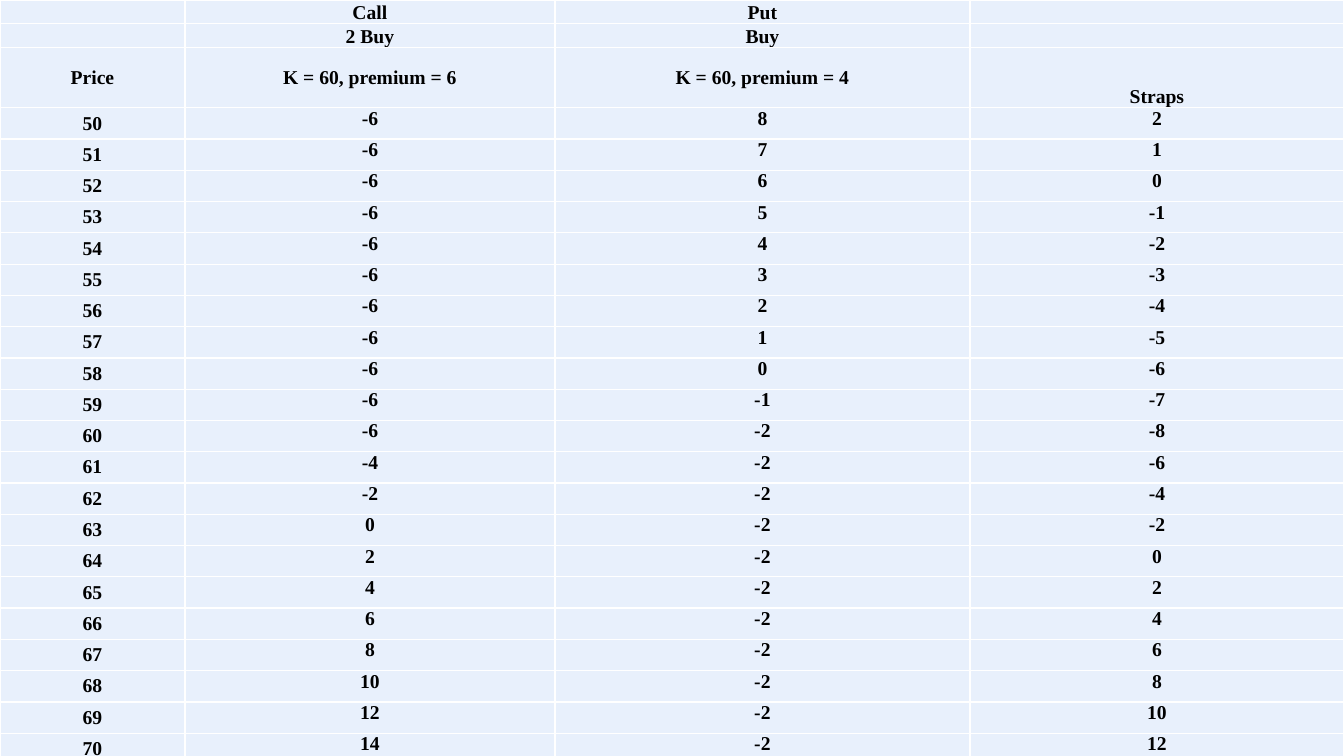
from dataclasses import dataclass

from lxml.etree import SubElement
from pptx import Presentation
from pptx.dml.color import RGBColor
from pptx.enum.text import MSO_ANCHOR as Anchor, PP_ALIGN as Align
from pptx.oxml.ns import qn
from pptx.slide import Slide
from pptx.table import _Cell as Cell
from pptx.util import Emu, Pt

EMU_PER_PX = 9071.43  # 100.8 px to the inch
SLIDE_WIDTH, SLIDE_HEIGHT = 1344, 756
COLUMN_WIDTHS = (185, 370, 415, 374)
HEADER_HEIGHTS = (19, 20, 60)
BODY_HEIGHT = 657

STRIKE, CALL_COST, PUT_COST = 60, 6, 2
CALLS_BOUGHT = 2
PRICES = range(50, 71)


@dataclass(frozen=True)
class Theme:
    font: str = "Times New Roman"
    size: int = 14
    border_width: int = 1
    text: str = "000000"
    cell: str = "E8F0FC"
    border: str = "FFFFFF"
    background: tuple[str, str] = ("FFFFFF", "B9B9B9")


@dataclass(frozen=True)
class Row:
    texts: tuple[str, ...]
    anchors: tuple[Anchor, ...]
    height: float


THEME = Theme()
ALL_BOTTOM = (Anchor.BOTTOM,) * 4
HEADERS = (
    Row(("", "Call", "Put", ""), ALL_BOTTOM, HEADER_HEIGHTS[0]),
    Row(("", "2 Buy", "Buy", ""), ALL_BOTTOM, HEADER_HEIGHTS[1]),
    Row(("Price", "K = 60, premium = 6", "K = 60, premium = 4", "Straps"),
        (Anchor.MIDDLE,) * 3 + (Anchor.BOTTOM,), HEADER_HEIGHTS[2]),
)


def px(length: float) -> Emu:
    return Emu(round(length * EMU_PER_PX))


def payoff_row(price: int) -> Row:
    """Profit of the calls, the put and the whole strap at one price."""
    call = CALLS_BOUGHT * max(price - STRIKE, 0) - CALL_COST
    put = max(STRIKE - price, 0) - PUT_COST
    return Row(tuple(map(str, (price, call, put, call + put))),
               (Anchor.MIDDLE,) + (Anchor.TOP,) * 3, BODY_HEIGHT / len(PRICES))


def write(cell: Cell, text: str, *, anchor: Anchor, align: Align = Align.CENTER,
          size: int = THEME.size, color: str = THEME.text, bold: bool = True) -> None:
    cell.margin_left = cell.margin_right = cell.margin_top = cell.margin_bottom = 0
    cell.vertical_anchor = anchor
    paragraph = cell.text_frame.paragraphs[0]
    paragraph.alignment = align
    if not text:
        # An empty cell needs its own type size, or it would stretch the row.
        SubElement(paragraph._p, qn("a:endParaRPr"), sz=str(size * 100))
        return
    run = paragraph.add_run()
    run.text = text
    run.font.name, run.font.size, run.font.bold = THEME.font, Pt(size), bold
    run.font.color.rgb = RGBColor.from_string(color)


def paint(cell: Cell) -> None:
    properties = cell._tc.get_or_add_tcPr()
    for side in ("lnL", "lnR", "lnT", "lnB"):
        line = SubElement(properties, qn(f"a:{side}"), w=str(Pt(THEME.border_width)))
        SubElement(SubElement(line, qn("a:solidFill")), qn("a:srgbClr"), val=THEME.border)
    cell.fill.solid()
    cell.fill.fore_color.rgb = RGBColor.from_string(THEME.cell)


def add_background(slide: Slide) -> None:
    fill = slide.background.fill
    fill.gradient()
    fill.gradient_angle = 270
    for stop, color, position in zip(fill.gradient_stops, THEME.background, (0, 1)):
        stop.color.rgb = RGBColor.from_string(color)
        stop.position = position


def add_payoff_table(slide: Slide, rows: list[Row]) -> None:
    frame = slide.shapes.add_table(len(rows), len(COLUMN_WIDTHS), 0, 0, px(SLIDE_WIDTH),
                                   px(sum(row.height for row in rows)))
    table = frame.table
    table.first_row = table.horz_banding = False
    for column, width in zip(table.columns, COLUMN_WIDTHS):
        column.width = px(width)
    for table_row, row in zip(table.rows, rows):
        table_row.height = px(row.height)
        for cell, text, anchor in zip(table_row.cells, row.texts, row.anchors):
            paint(cell)
            write(cell, text, anchor=anchor)


def main() -> None:
    deck = Presentation()
    deck.slide_width, deck.slide_height = px(SLIDE_WIDTH), px(SLIDE_HEIGHT)
    slide = deck.slides.add_slide(deck.slide_layouts[6])
    add_background(slide)
    add_payoff_table(slide, [*HEADERS, *map(payoff_row, PRICES)])
    deck.save("out.pptx")


if __name__ == "__main__":
    main()
